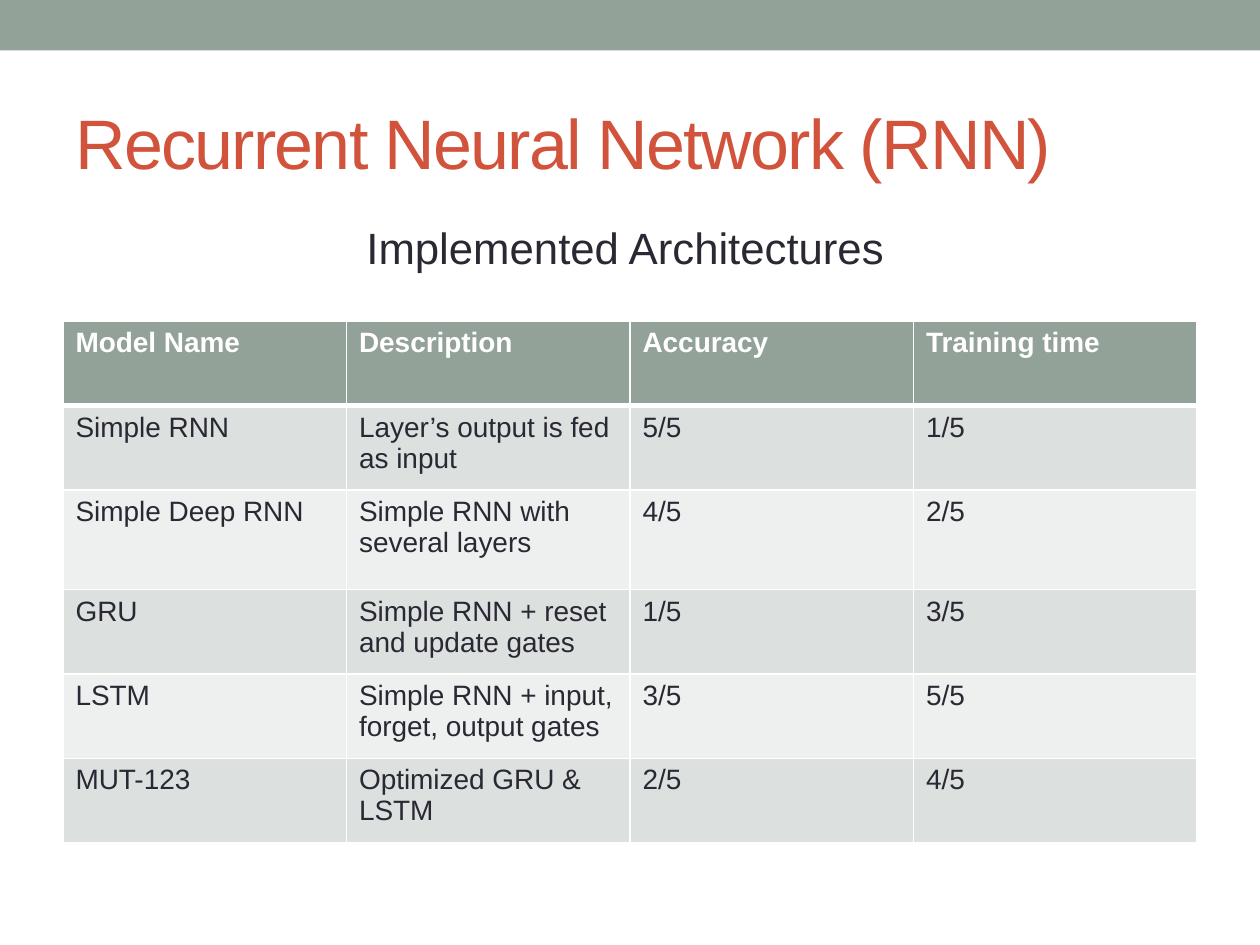
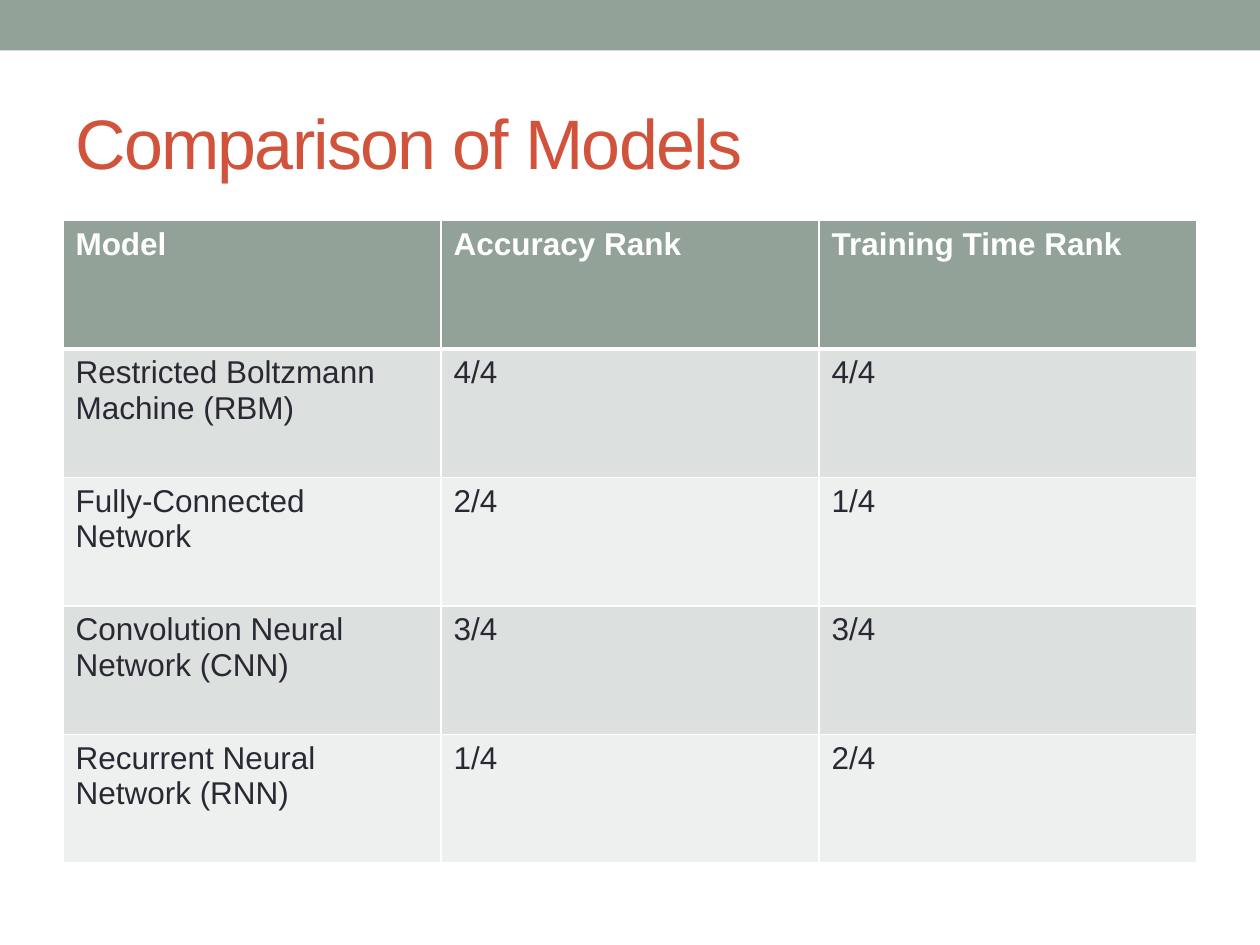
import dataclasses

import lxml.etree
import pptx
import pptx.dml.color
import pptx.enum.shapes
import pptx.enum.text
import pptx.oxml.ns
import pptx.util

Inches = pptx.util.Inches


# Colours and type sizes
@dataclasses.dataclass(frozen=True)
class Theme:
    font: str = "Arial"
    sage: str = "93A299"
    red: str = "D2533C"
    ink: str = "292934"
    white: str = "FFFFFF"
    dark: str = "DCE0DE"
    light: str = "EEF0EF"
    title: int = 40
    sub: int = 25
    thin: int = 1
    thick: int = 3


THEME = Theme()


def paint(fill, color):
    fill.solid()
    fill.fore_color.rgb = pptx.dml.color.RGBColor.from_string(color)


def style(frame, size, color, bold=False):
    for para in frame.paragraphs:
        for run in para.runs:
            run.font.name = THEME.font
            run.font.size = pptx.util.Pt(size)
            run.font.bold = bold
            run.font.color.rgb = pptx.dml.color.RGBColor.from_string(color)


def add_text(slide, box, text, size, color, wrap=True):
    frame = slide.shapes.add_textbox(*map(Inches, box)).text_frame
    frame.word_wrap = wrap
    frame.vertical_anchor = pptx.enum.text.MSO_ANCHOR.MIDDLE
    frame.text = text
    style(frame, size, color)
    return frame


# White cell borders, placed ahead of the fill as the schema asks
def add_edges(cell, top, bottom):
    qn = pptx.oxml.ns.qn
    props = cell._tc.get_or_add_tcPr()
    widths = {"lnL": THEME.thin, "lnR": THEME.thin, "lnT": top, "lnB": bottom}
    for spot, (side, width) in enumerate(widths.items()):
        line = lxml.etree.Element(qn("a:" + side), w=str(pptx.util.Pt(width)))
        fill = lxml.etree.SubElement(line, qn("a:solidFill"))
        lxml.etree.SubElement(fill, qn("a:srgbClr"), val=THEME.white)
        props.insert(spot, line)


# Top band and title, shared by all slides
def add_slide(deck, title):
    slide = deck.slides.add_slide(deck.slide_layouts[6])
    band = slide.shapes.add_shape(
        pptx.enum.shapes.MSO_SHAPE.RECTANGLE, 0, 0, deck.slide_width, Inches(0.4))
    band.shadow.inherit = False
    paint(band.fill, THEME.sage)
    band.line.fill.background()
    frame = add_text(slide, (0.5, 0.58, 9, 1.08), title, THEME.title, THEME.red)
    frame.paragraphs[0].runs[0].font._element.set("spc", "-100")
    return slide


# Table with a header row and banded body rows
def add_table(slide, box, rows, heights, size):
    left, top, width, _ = box
    count = len(rows[0])
    grid = slide.shapes.add_table(
        len(rows), count, Inches(left), Inches(top),
        Inches(width), Inches(sum(heights))).table
    for col in grid.columns:
        col.width = Inches(width / count)
    for r, texts in enumerate(rows):
        grid.rows[r].height = Inches(heights[r])
        head = r == 0
        fill = THEME.sage if head else THEME.dark if r % 2 else THEME.light
        for c, text in enumerate(texts):
            cell = grid.cell(r, c)
            cell.text_frame.text = text
            style(cell.text_frame, size, THEME.white if head else THEME.ink, head)
            paint(cell.fill, fill)
            add_edges(cell, THEME.thick if r == 1 else THEME.thin,
                      THEME.thick if head else THEME.thin)


def build_rnn(deck):
    slide = add_slide(deck, "Recurrent Neural Network (RNN)")
    rows = [
        ("Model Name", "Description", "Accuracy", "Training time"),
        ("Simple RNN", "Layer’s output is fed as input", "5/5", "1/5"),
        ("Simple Deep RNN", "Simple RNN with several layers", "4/5", "2/5"),
        ("GRU", "Simple RNN + reset and update gates", "1/5", "3/5"),
        ("LSTM", "Simple RNN + input, forget, output gates", "3/5", "5/5"),
        ("MUT-123", "Optimized GRU & LSTM", "2/5", "4/5"),
    ]
    heights = [0.67] * len(rows)
    heights[2] = 0.79
    add_table(slide, (0.5, 2.55, 9, 4.12), rows, heights, 16)
    add_text(slide, (2.81, 1.7, 4.35, 0.52), "Implemented Architectures",
             THEME.sub, THEME.ink, wrap=False)


def build_ranks(deck):
    slide = add_slide(deck, "Comparison of Models")
    rows = [
        ("Model", "Accuracy Rank", "Training Time Rank"),
        ("Restricted Boltzmann Machine (RBM)", "4/4", "4/4"),
        ("Fully-Connected Network", "2/4", "1/4"),
        ("Convolution Neural Network (CNN)", "3/4", "3/4"),
        ("Recurrent Neural Network (RNN)", "1/4", "2/4"),
    ]
    add_table(slide, (0.5, 1.75, 9, 5.09), rows, [1.02] * len(rows), 18)


def main():
    deck = pptx.Presentation()
    deck.slide_width, deck.slide_height = Inches(10), Inches(7.5)
    build_rnn(deck)
    build_ranks(deck)
    deck.save("out.pptx")


if __name__ == "__main__":
    main()
